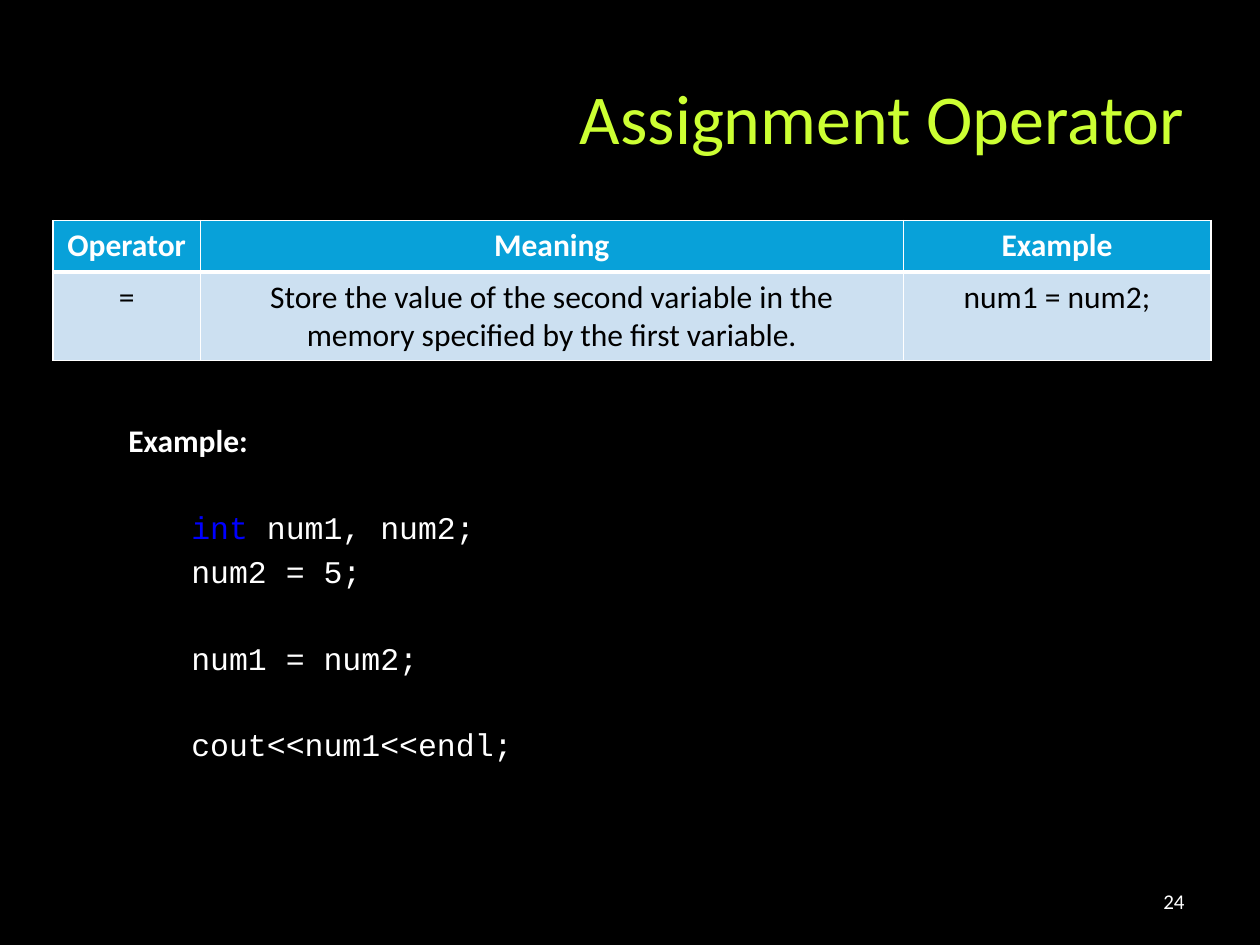
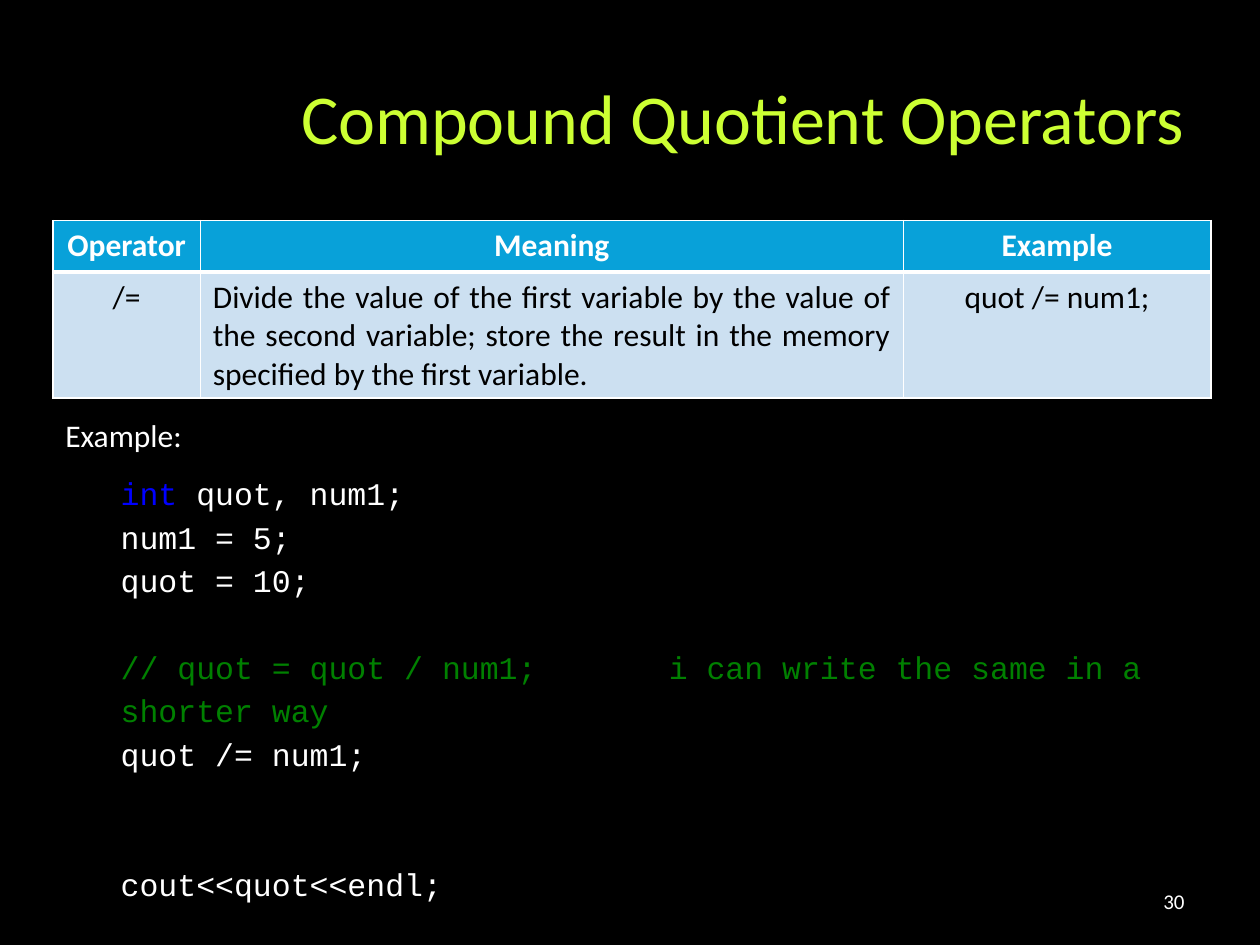
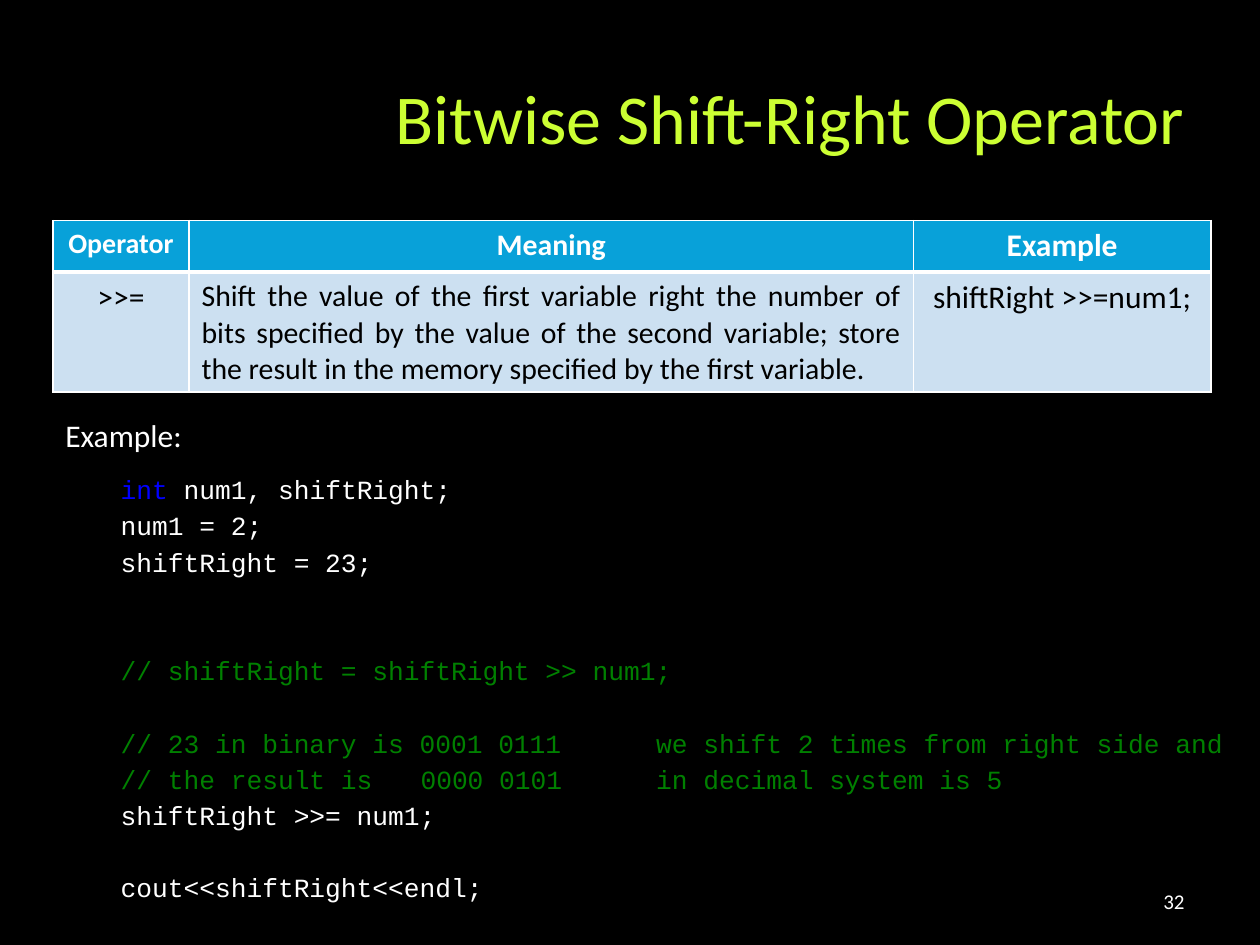
from lxml.etree import SubElement
from pptx import Presentation
from pptx.dml.color import RGBColor
from pptx.enum.text import MSO_ANCHOR, MSO_AUTO_SIZE, PP_ALIGN
from pptx.oxml.ns import qn
from pptx.util import Inches, Pt

BLACK = RGBColor(0x00, 0x00, 0x00)
WHITE = RGBColor(0xFF, 0xFF, 0xFF)
LIME = RGBColor(0xCC, 0xFF, 0x33)
HEADER_BLUE = RGBColor(0x08, 0xA1, 0xD9)
PALE_BLUE = RGBColor(0xCC, 0xE0, 0xF1)
KEYWORD_BLUE = RGBColor(0x00, 0x00, 0xFF)
COMMENT_GREEN = RGBColor(0x00, 0x80, 0x00)

TEXT_FONT = "Calibri"
CODE_FONT = "Courier New"
LINE_SPACING = 1.15
LINE_PITCH = 1.38  # height of one code line, in multiples of its font size
HEADINGS = ["Operator", "Meaning", "Example"]
LABEL = "Example:"
LABEL_BOX = (0.42, 3.25, 1.5, 0.4)

# Each text box: position, font size, bold label, indents (label, code), tab stops, lines.
# An empty line becomes space above the next one.
SLIDES = [
    {
        "title": "Assignment Operator",
        "number": "24",
        "columns": [1.17, 5.58, 2.44],
        "row_heights": [0.41, 0.7],
        "cells": ["=",
                  "Store the value of the second variable in the memory "
                  "specified by the first variable.",
                  "num1 = num2;"],
        "meaning_align": PP_ALIGN.CENTER,
        "sizes": [[18, 18, 18], [18, 18, 18]],
        "boxes": [
            ((0.42, 3.25, 8.67, 2.89), 18, True, (0.5, 1), [],
             [LABEL, "", "int num1, num2;", "num2 = 5;", "", "num1 = num2;", "",
              "cout<<num1<<endl;"]),
        ],
    },
    {
        "title": "Compound Quotient Operators",
        "number": "30",
        "columns": [1.17, 5.58, 2.44],
        "row_heights": [0.41, 1],
        "cells": ["/=",
                  "Divide the value of the first variable by the value of the second "
                  "variable; store the result in the memory specified by the first variable.",
                  "quot /= num1;"],
        "meaning_align": PP_ALIGN.JUSTIFY,
        "sizes": [[18, 18, 18], [18, 18, 18]],
        "boxes": [
            (LABEL_BOX, 18, False, (0, 0), [], [LABEL]),
            ((0.86, 3.67, 9.37, 3.24), 18, False, (0, 0), [4.35],
             ["int quot, num1;", "num1 = 5;", "quot = 10;", "",
              "// quot = quot / num1;\ti can write the same in a shorter way",
              "quot /= num1;", "", "", "cout<<quot<<endl;"]),
        ],
    },
    {
        "title": "Bitwise Shift-Right Operator",
        "number": "32",
        "columns": [1.08, 5.75, 2.36],
        "row_heights": [0.41, 0.95],
        "cells": [">>=",
                  "Shift the value of the first variable right the number of bits specified "
                  "by the value of the second variable; store the result in the memory "
                  "specified by the first variable.",
                  "shiftRight >>=num1;"],
        "meaning_align": PP_ALIGN.JUSTIFY,
        "sizes": [[16, 17, 18], [18, 17, 18]],
        "boxes": [
            (LABEL_BOX, 18, False, (0, 0), [], [LABEL]),
            ((0.86, 3.67, 9.37, 3.58), 15, False, (0, 0), [2.38, 4.25],
             ["int num1, shiftRight;", "num1 = 2;", "shiftRight = 23;", "", "",
              "// shiftRight = shiftRight >> num1;", "",
              "// 23 in binary is 0001 0111\twe shift 2 times from right side and",
              "// the result is\t0000 0101\tin decimal system is 5",
              "shiftRight >>= num1;", "", "cout<<shiftRight<<endl;"]),
        ],
    },
]


def write(paragraph, text, size=18, color=WHITE, font=TEXT_FONT, bold=False, align=None):
    run = paragraph.add_run()
    run.text = text
    run.font.size = Pt(size)
    run.font.name = font
    run.font.bold = bold
    run.font.color.rgb = color
    if align is not None:
        paragraph.alignment = align


def add_borders(cell, widths):
    """Draw white cell borders; widths maps the side letters L, R, T, B to points."""
    properties = cell._tc.get_or_add_tcPr()
    for side, width in widths.items():
        line = SubElement(properties, qn(f"a:ln{side}"), w=str(Pt(width)))
        SubElement(SubElement(line, qn("a:solidFill")), qn("a:srgbClr"), val=str(WHITE))


presentation = Presentation()
presentation.slide_width = Inches(10)
presentation.slide_height = Inches(7.5)
background = presentation.slide_master.background.fill
background.solid()
background.fore_color.rgb = BLACK
title_only = presentation.slide_layouts[5]

for content in SLIDES:
    slide = presentation.slides.add_slide(title_only)

    title = slide.shapes.title
    title.left, title.top, title.width, title.height = map(Inches, (0.5, 0.3, 9, 1.25))
    title.text_frame.auto_size = MSO_AUTO_SIZE.NONE
    title.text_frame.vertical_anchor = MSO_ANCHOR.MIDDLE
    write(title.text_frame.paragraphs[0], content["title"], size=40, color=LIME,
          align=PP_ALIGN.RIGHT)

    number = slide.shapes.add_textbox(*map(Inches, (7.17, 6.95, 2.33, 0.4))).text_frame
    number.word_wrap = True
    number.vertical_anchor = MSO_ANCHOR.MIDDLE
    write(number.paragraphs[0], content["number"], size=12, align=PP_ALIGN.RIGHT)

    heights = content["row_heights"]
    table = slide.shapes.add_table(
        2, 3, *map(Inches, (0.42, 1.75, sum(content["columns"]), sum(heights)))).table
    table.horz_banding = False
    for column, width in zip(table.columns, content["columns"]):
        column.width = Inches(width)
    for row_index, texts in enumerate([HEADINGS, content["cells"]]):
        is_header = row_index == 0
        table.rows[row_index].height = Inches(heights[row_index])
        for column_index, text in enumerate(texts):
            cell = table.cell(row_index, column_index)
            add_borders(cell, {"L": 1, "R": 1, "T": 1 if is_header else 3,
                               "B": 3 if is_header else 1})
            cell.fill.solid()
            cell.fill.fore_color.rgb = HEADER_BLUE if is_header else PALE_BLUE
            is_meaning = not is_header and column_index == 1
            write(cell.text_frame.paragraphs[0], text,
                  size=content["sizes"][row_index][column_index],
                  color=WHITE if is_header else BLACK, bold=is_header,
                  align=content["meaning_align"] if is_meaning else PP_ALIGN.CENTER)

    for position, size, bold_label, indents, tab_stops, lines in content["boxes"]:
        frame = slide.shapes.add_textbox(*map(Inches, position)).text_frame
        frame.word_wrap = True
        frame.auto_size = MSO_AUTO_SIZE.SHAPE_TO_FIT_TEXT
        paragraph = frame.paragraphs[0]
        blank_lines = 0
        for index, line in enumerate(lines):
            if not line:
                blank_lines += 1
                continue
            if index:
                paragraph = frame.add_paragraph()
            if len(lines) > 1:
                paragraph.line_spacing = LINE_SPACING
            paragraph.space_before = Pt(round(blank_lines * size * LINE_PITCH, 1))
            blank_lines = 0
            properties = paragraph._p.get_or_add_pPr()
            properties.set("marL", str(Inches(indents[line != LABEL])))
            if "\t" in line:
                tab_list = SubElement(properties, qn("a:tabLst"))
                for stop in tab_stops:
                    SubElement(tab_list, qn("a:tab"), pos=str(Inches(stop)), algn="l")

            if line == LABEL:
                write(paragraph, line, size=size, bold=bold_label)
            elif line.startswith("//"):
                write(paragraph, line, size=size, color=COMMENT_GREEN, font=CODE_FONT)
            else:
                if line.startswith("int "):
                    write(paragraph, "int ", size=size, color=KEYWORD_BLUE, font=CODE_FONT)
                write(paragraph, line.removeprefix("int "), size=size, font=CODE_FONT)

presentation.save("out.pptx")
